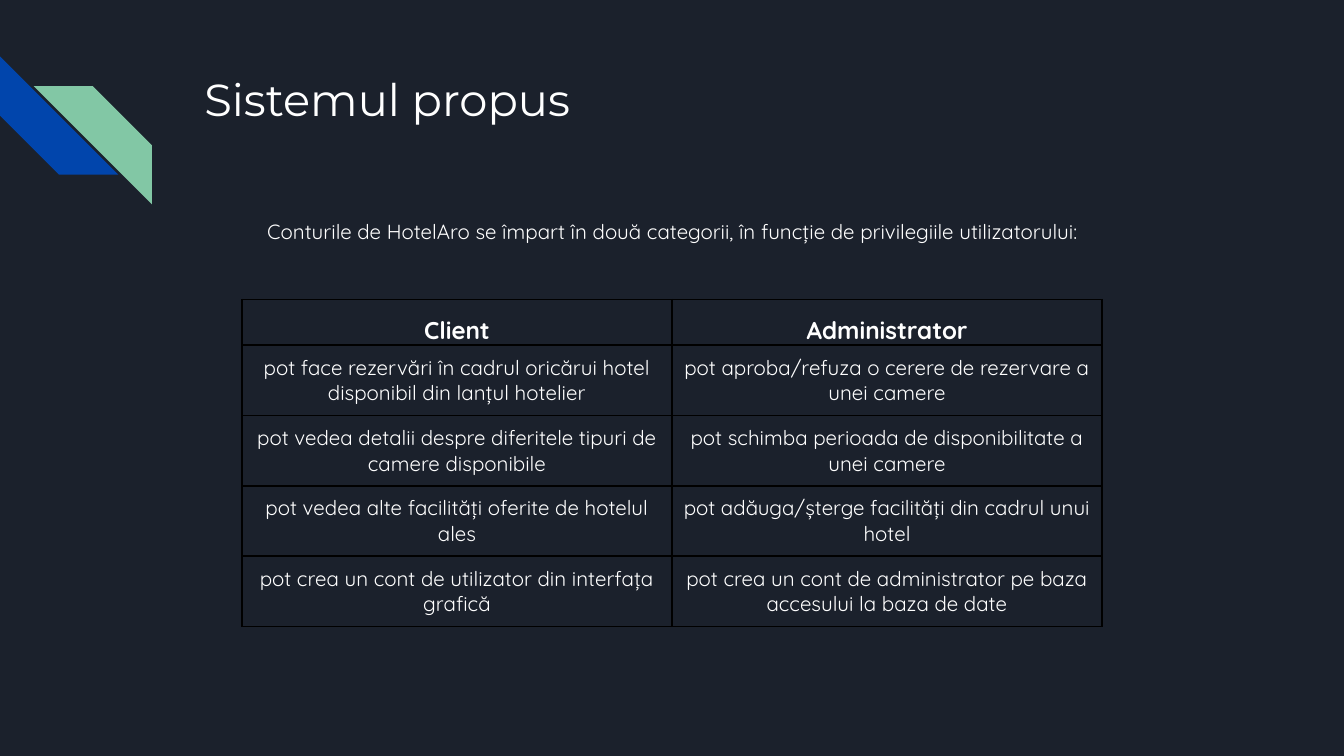
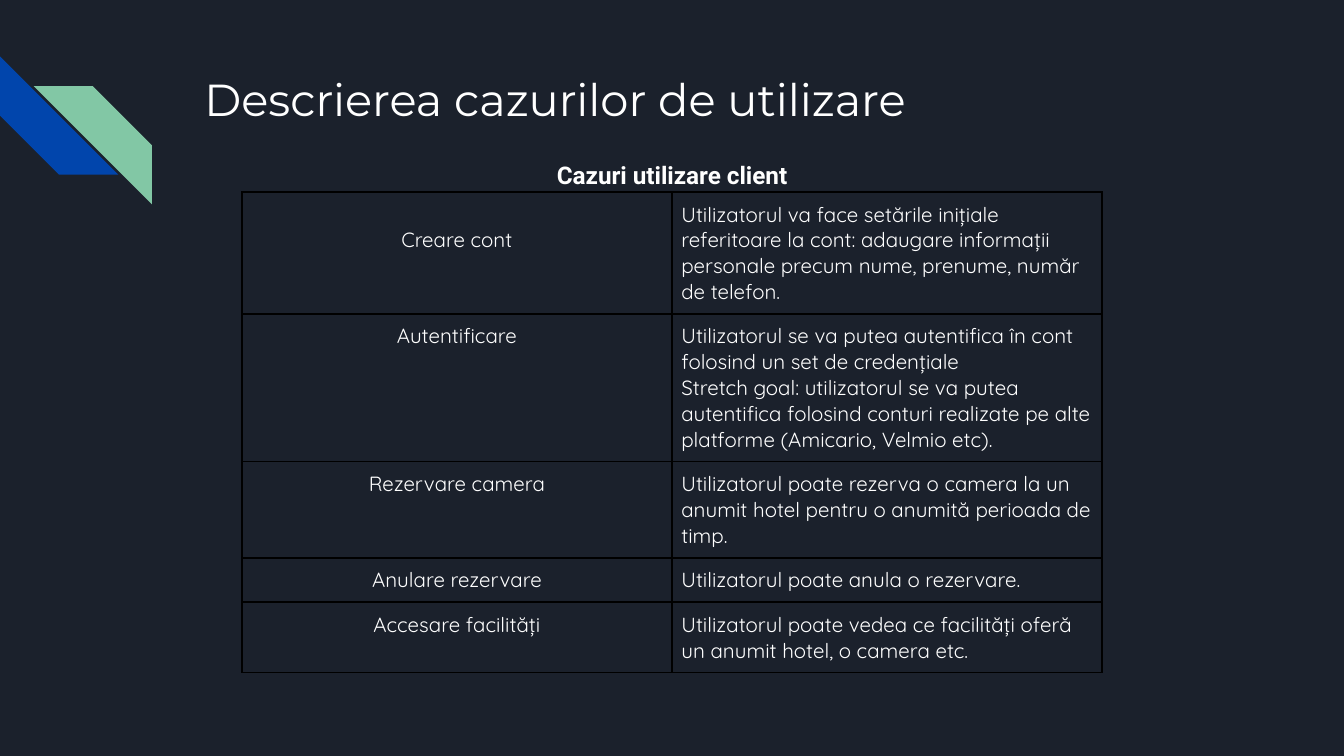
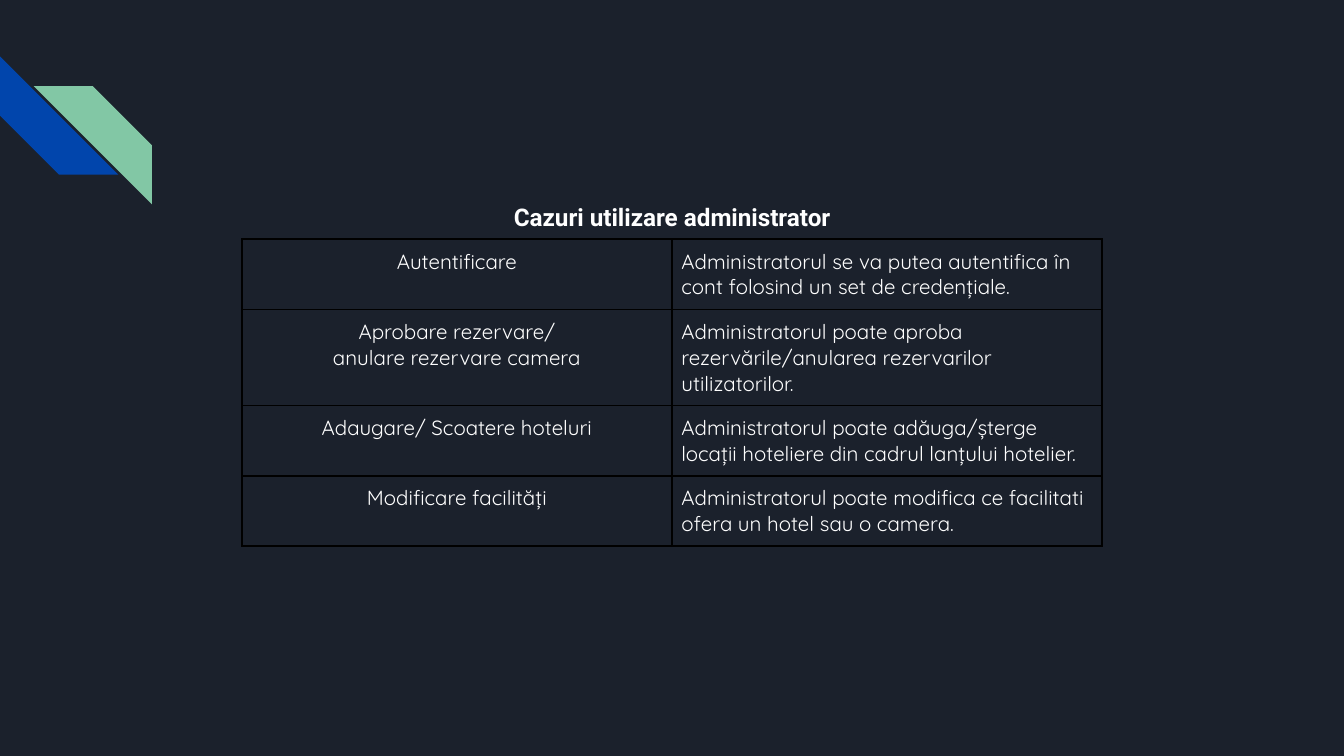
import pptx
import pptx.dml.color
import pptx.enum.shapes
import pptx.enum.text
import pptx.oxml
import pptx.oxml.ns
import pptx.util

COLOURS = {
    "night": "1B212C",
    "blue": "0145AC",
    "green": "82C7A5",
    "text": "FFFFFF",
    "border": "000000",
}
ALIGN = pptx.enum.text.PP_ALIGN
ANCHOR = pptx.enum.text.MSO_ANCHOR
UNIT = pptx.util.Inches(0.1)  # one column or row of the grid
SLIDE_COLUMNS, SLIDE_ROWS = 100, 56.25
TABLE_LEFT, TABLE_COLUMN = 18, 32
CELL_INSET, LINE_ROWS = 0.7, 1.9

TITLE = {"name": "Montserrat", "size": pptx.util.Pt(24), "bold": False}
BODY = {"name": "Quicksand", "size": pptx.util.Pt(11), "bold": False}
HEADER = {"name": "Quicksand", "size": pptx.util.Pt(13), "bold": True}
CAPTION = {"name": "Roboto", "size": pptx.util.Pt(13), "bold": True}

LEFT = {"alignment": ALIGN.LEFT}
CENTRE = {"alignment": ALIGN.CENTER}
SPACED_LEFT = {**LEFT, "line_spacing": 1.5}
SPACED_CENTRE = {**CENTRE, "line_spacing": 1.5}
HEADER_PARAGRAPH = {**SPACED_CENTRE, "space_before": pptx.util.Pt(10)}

ACCOUNT_TYPES = ("Client", "Administrator")
# Each row: left text, right text, lines in its taller cell
PRIVILEGES = [
    ("pot face rezervări în cadrul oricărui hotel disponibil din lanțul hotelier",
     "pot aproba/refuza o cerere de rezervare a unei camere", 2),
    ("pot vedea detalii despre diferitele tipuri de camere disponibile",
     "pot schimba perioada de disponibilitate a unei camere", 2),
    ("pot vedea alte facilități oferite de hotelul ales",
     "pot adăuga/șterge facilități din cadrul unui hotel", 2),
    ("pot crea un cont de utilizator din interfața grafică",
     "pot crea un cont de administrator pe baza accesului la baza de date", 2),
]
CLIENT_CASES = [
    ("Creare cont",
     "Utilizatorul va face setările inițiale referitoare la cont: adaugare informații "
     "personale precum nume, prenume, număr de telefon.", 4),
    ("Autentificare",
     "Utilizatorul se va putea autentifica în cont folosind un set de credențiale\n"
     "Stretch goal: utilizatorul se va putea autentifica folosind conturi realizate "
     "pe alte platforme (Amicario, Velmio etc).", 5),
    ("Rezervare camera",
     "Utilizatorul poate rezerva o camera la un anumit hotel pentru o anumită "
     "perioada de timp.", 3),
    ("Anulare rezervare", "Utilizatorul poate anula o rezervare.", 1),
    ("Accesare facilități",
     "Utilizatorul poate vedea ce facilități oferă un anumit hotel, o camera etc.", 2),
]
ADMIN_CASES = [
    ("Autentificare",
     "Administratorul se va putea autentifica în cont folosind un set de credențiale.", 2),
    ("Aprobare rezervare/\nanulare rezervare camera",
     "Administratorul poate aproba rezervările/anularea rezervarilor utilizatorilor.", 3),
    ("Adaugare/ Scoatere hoteluri",
     "Administratorul poate adăuga/șterge locații hoteliere din cadrul lanțului "
     "hotelier.", 2),
    ("Modificare facilități",
     "Administratorul poate modifica ce facilitati ofera un hotel sau o camera.", 2),
]


def grid(*units):
    return [round(unit * UNIT) for unit in units]


def rgb(colour):
    return pptx.dml.color.RGBColor.from_string(COLOURS[colour])


def apply(target, values):
    for attribute, value in values.items():
        setattr(target, attribute, value)


class Deck:
    def __init__(self):
        self.presentation = pptx.Presentation()
        width, height = grid(SLIDE_COLUMNS, SLIDE_ROWS)
        apply(self.presentation, {"slide_width": width, "slide_height": height})
        backdrop = self.presentation.slide_master.background.fill
        backdrop.solid()
        backdrop.fore_color.rgb = rgb("night")
        self.slide = None

    def new_slide(self, title=None):
        layout = self.presentation.slide_layouts[5 if title else 6]
        self.slide = self.presentation.slides.add_slide(layout)
        self.stripe(0, 4.2, "blue", 270)
        self.stripe(2.5, 6.4, "green", 90)
        if title:
            heading = self.slide.shapes.title
            apply(heading, dict(zip(("left", "top", "width", "height"),
                                    grid(14.2, 4.3, 77, 10))))
            self.set_frame(heading.text_frame, title, TITLE, LEFT, ANCHOR.TOP)

    def stripe(self, left, top, colour, rotation):
        shape = self.slide.shapes.add_shape(
            pptx.enum.shapes.MSO_SHAPE.DIAGONAL_STRIPE, *grid(left, top, 8.8, 8.8))
        shape.rotation = rotation
        shape.shadow.inherit = False
        shape.fill.solid()
        shape.fill.fore_color.rgb = rgb(colour)
        shape.line.fill.background()

    def fill_text(self, frame, text, font, paragraph_format):
        frame.text = text
        for paragraph in frame.paragraphs:
            apply(paragraph, paragraph_format)
            for run in paragraph.runs:
                apply(run.font, font)
                run.font.color.rgb = rgb("text")

    def set_frame(self, frame, text, font, paragraph_format, anchor):
        self.fill_text(frame, text, font, paragraph_format)
        inset = UNIT
        apply(frame, {"word_wrap": True, "vertical_anchor": anchor,
                      "auto_size": pptx.enum.text.MSO_AUTO_SIZE.NONE,
                      "margin_left": inset, "margin_right": inset,
                      "margin_top": inset, "margin_bottom": inset})

    def text(self, box, text, font, paragraph_format):
        frame = self.slide.shapes.add_textbox(*grid(*box)).text_frame
        self.set_frame(frame, text, font, paragraph_format, ANCHOR.MIDDLE)

    def table(self, top, rows, left_format=CENTRE, right_format=LEFT, header=None):
        """Two equal columns; each row is as tall as its lines need."""
        records = ([(*header, 1)] if header else []) + rows
        heights = [2 * CELL_INSET + LINE_ROWS * lines for *_, lines in records]
        table = self.slide.shapes.add_table(
            len(records), 2,
            *grid(TABLE_LEFT, top, 2 * TABLE_COLUMN, sum(heights))).table
        apply(table, {"first_row": False, "horz_banding": False})
        for row, height, (*texts, _) in zip(table.rows, heights, records):
            row.height, = grid(height)
            is_header = header is not None and tuple(texts) == header
            for cell, text, body_format in zip(row.cells, texts,
                                               (left_format, right_format)):
                self.cell(cell, text, HEADER if is_header else BODY,
                          HEADER_PARAGRAPH if is_header else body_format,
                          0 if is_header else CELL_INSET)
        return table

    def cell(self, cell, text, font, paragraph_format, inset):
        self.fill_text(cell.text_frame, text, font, paragraph_format)
        margin, = grid(inset)
        apply(cell, {f"margin_{side}": margin
                     for side in ("left", "right", "top", "bottom")})
        properties = cell._tc.get_or_add_tcPr()
        for side in "LRTB":
            properties.append(pptx.oxml.parse_xml(
                f'<a:ln{side} {pptx.oxml.ns.nsdecls("a")} w="{pptx.util.Pt(1)}">'
                f'<a:solidFill><a:srgbClr val="{COLOURS["border"]}"/></a:solidFill>'
                f'</a:ln{side}>'))
        cell.fill.background()


def main():
    deck = Deck()

    deck.new_slide("Sistemul propus")
    deck.table(22.3, PRIVILEGES, right_format=CENTRE, header=ACCOUNT_TYPES)
    deck.text((18.9, 12, 71.3, 9.5),
              "Conturile de HotelAro se împart în două categorii, "
              "în funcție de privilegiile utilizatorului:", BODY, SPACED_LEFT)

    deck.new_slide("Descrierea cazurilor de utilizare")
    client_table = deck.table(14.3, CLIENT_CASES)
    client_table.cell(0, 0).margin_top, = grid(CELL_INSET + LINE_ROWS)
    deck.text((33.6, 10.6, 32.8, 3.7), "Cazuri utilizare client",
              CAPTION, SPACED_CENTRE)

    deck.new_slide()
    deck.table(17.8, ADMIN_CASES)
    deck.text((33.6, 13.4, 32.8, 4.4), "Cazuri utilizare administrator",
              CAPTION, SPACED_CENTRE)

    deck.presentation.save("out.pptx")


if __name__ == "__main__":
    main()
